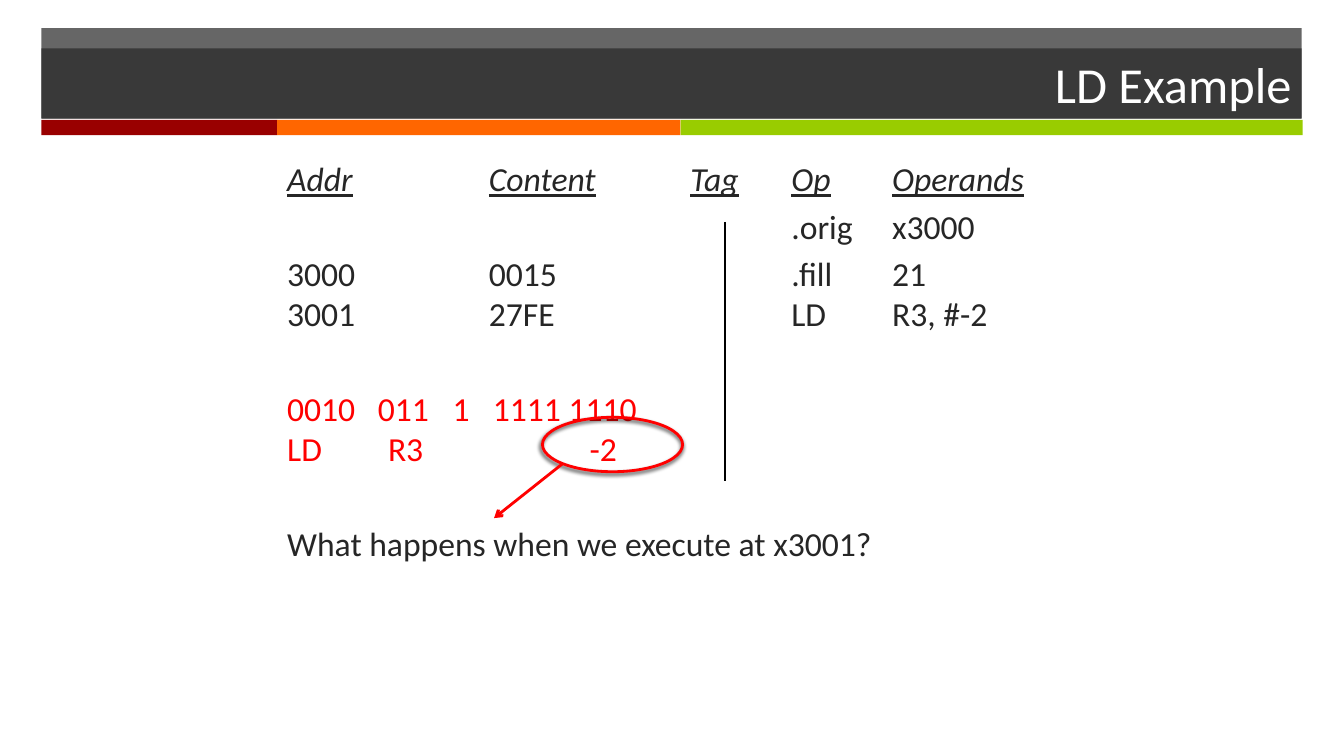
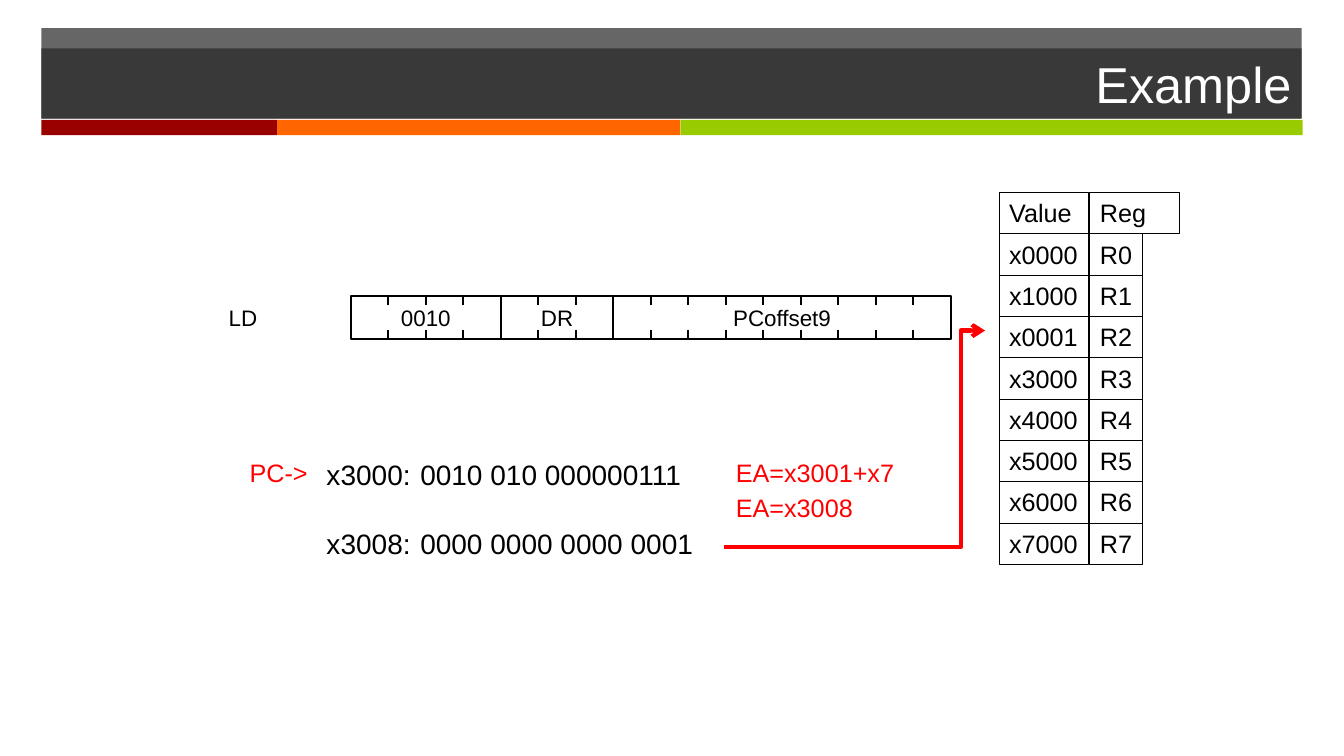
from lxml.etree import SubElement
from pptx import Presentation
from pptx.dml.color import RGBColor
from pptx.enum.shapes import MSO_CONNECTOR as Connector, MSO_SHAPE as Shape
from pptx.enum.text import MSO_ANCHOR as Anchor, MSO_AUTO_SIZE as AutoSize, PP_ALIGN as Align
from pptx.oxml.ns import qn
from pptx.util import Inches, Pt

DARK, WHITE, BLACK, RED = "262626", "FFFFFF", "000000", "FF0000"
STRIPES = (("990000", 2.34), ("FF6600", 4), ("99CC00", 6.17))
BAND_LEFT, BAND_WIDTH = 0.41, 12.5


def color(value):
    """Turn a hex string into a colour."""
    return RGBColor.from_string(value)


def inches(*lengths):
    """Turn numbers into lengths."""
    return [Inches(length) for length in lengths]


def paint(shape, fill, opacity=100):
    """Fill a shape, with an optional opacity in percent."""
    shape.fill.solid()
    shape.fill.fore_color.rgb = color(fill)
    if opacity < 100:
        tint = shape.fill._xPr.find(qn("a:solidFill"))[0]
        SubElement(tint, qn("a:alpha"), val=str(opacity * 1000))


def outline(item, value, width):
    """Set the line of a shape or connector."""
    item.line.color.rgb = color(value)
    item.line.width = Pt(width)


def add_shape(page, kind, box):
    """Add a plain shape with no fill, line or shadow."""
    shape = page.shapes.add_shape(kind, *inches(*box))
    shape.shadow.inherit = False
    shape.fill.background()
    shape.line.fill.background()
    return shape


def add_line(page, start, end, value, width, arrow=False, bend=None):
    """Add a straight line, or an elbow that turns at the given share."""
    kind = Connector.STRAIGHT if bend is None else Connector.ELBOW
    line = page.shapes.add_connector(kind, *inches(*start, *end))
    outline(line, value, width)
    properties = line._element.spPr
    if arrow:
        SubElement(properties.find(qn("a:ln")), qn("a:tailEnd"), type="arrow")
    if bend is not None:
        guides = properties.find(qn("a:prstGeom")).find(qn("a:avLst"))
        SubElement(guides, qn("a:gd"), name="adj1", fmla=f"val {round(bend * 100000)}")
    SubElement(properties, qn("a:effectLst"))


def style(para, size, value, face="Arial", align=Align.LEFT):
    """Set the font and alignment of a paragraph."""
    para.alignment = align
    para.font.size = Pt(size)
    para.font.name = face
    para.font.color.rgb = color(value)


def set_tabs(para, stops):
    """Give a paragraph left tab stops in inches."""
    tabs = SubElement(para._p.get_or_add_pPr(), qn("a:tabLst"))
    for stop in stops:
        SubElement(tabs, qn("a:tab"), pos=str(Inches(stop)), algn="l")


def add_text(page, box, lines, size, value, gap=0, stops=(), align=Align.LEFT):
    """Add a wrapped text box with a gap between its lines."""
    label = page.shapes.add_textbox(*inches(*box))
    frame = label.text_frame
    frame.word_wrap = True
    for index, line in enumerate(lines):
        para = frame.paragraphs[0] if index == 0 else frame.add_paragraph()
        para.text = line
        if stops:
            set_tabs(para, stops)
        if index:
            para.space_before = Pt(gap)
        style(para, size, value, align=align)
    return label


def add_page(deck, heading, face):
    """Add a page with the title band and colour stripes."""
    page = deck.slides.add_slide(deck.slide_layouts[5])
    band = add_shape(page, Shape.RECTANGLE, (BAND_LEFT, 0.28, BAND_WIDTH, 0.89))
    paint(band, DARK, 70)
    left = BAND_LEFT
    for fill, width in STRIPES:
        paint(add_shape(page, Shape.RECTANGLE, (left, 1.19, width, 0.15)), fill)
        left += width
    title = page.shapes.title
    page.shapes._spTree.append(title._element)
    title.left, title.top, title.width, title.height = inches(BAND_LEFT, 0.48, BAND_WIDTH, 0.7)
    paint(title, DARK, 70)
    frame = title.text_frame
    frame.text = heading
    frame.auto_size = AutoSize.NONE
    frame.vertical_anchor = Anchor.MIDDLE
    style(frame.paragraphs[0], 36, WHITE, face, Align.RIGHT)
    return page


def add_listing(page, box):
    """Add the assembly listing with its decoded instruction."""
    columns = (2, 4, 5, 6)
    rows = (
        ("Addr\tContent\tTag\tOp\tOperands", columns, 0, DARK),
        ("\t.orig\tx3000", (5, 6), 5, DARK),
        ("3000\t0015\t.fill\t21", (2, 5, 6), 5, DARK),
        ("3001\t27FE\tLD\tR3, #-2", (2, 5, 6), 0, DARK),
        ("0010\t011\t1\t1111 1110", (0.9, 1.64, 2.04), 39, RED),
        ("LD\tR3\t-2", (1, 3), 0, RED),
        ("What happens when we execute at x3001?", (), 39, DARK),
    )
    frame = page.shapes.add_textbox(*inches(*box)).text_frame
    frame.word_wrap = True
    for index, (line, stops, gap, value) in enumerate(rows):
        para = frame.add_paragraph() if index else frame.paragraphs[0]
        para.text = line
        set_tabs(para, stops)
        para.space_before = Pt(gap)
        style(para, 24, value, "Calibri")
    heading = frame.paragraphs[0].font
    heading.italic = heading.underline = True


def add_offset_mark(page, box):
    """Circle the offset and point to the question."""
    left, top, width, height = box
    ring = add_shape(page, Shape.OVAL, box)
    outline(ring, RED, 2)
    effects = ring._element.spPr.find(qn("a:effectLst"))
    shadow = SubElement(effects, qn("a:outerShdw"), blurRad=str(Pt(3)), dist=str(Pt(2)),
                        dir=str(110 * 60000), rotWithShape="0")
    shade = SubElement(shadow, qn("a:srgbClr"), val=BLACK)
    SubElement(shade, qn("a:alpha"), val="75000")
    add_line(page, (left + 0.2, top + 0.46), (left - 0.48, top + 1), RED, 2, arrow=True)


def add_instruction(page, box):
    """Add the bit fields of an instruction word."""
    left, top, width, height = box
    bit, tick = width / 16, 0.09
    bottom = top + height
    for name, bits in (("0010", 4), ("DR", 3), ("PCoffset9", 9)):
        field = add_shape(page, Shape.RECTANGLE, (left, top, bits * bit, height))
        outline(field, BLACK, 1.5)
        frame = field.text_frame
        frame.text = name
        frame.vertical_anchor = Anchor.MIDDLE
        style(frame.paragraphs[0], 16, BLACK, align=Align.CENTER)
        for index in range(1, bits):
            x = left + index * bit
            add_line(page, (x, top), (x, top + tick), BLACK, 1.5)
            add_line(page, (x, bottom - tick), (x, bottom), BLACK, 1.5)
        left += bits * bit


def add_registers(page, left, top):
    """Add the register values beside their names."""
    pitch = 0.41
    values = ("0000", "1000", "0001", "3000", "4000", "5000", "6000", "7000")
    rows = [("Value", "Reg", 0.89)]
    rows += [(f"x{value}", f"R{index}", 0.52) for index, value in enumerate(values)]
    for index, (value, name, width) in enumerate(rows):
        y = top + index * pitch
        for text, box in ((value, (left, y, 0.89, pitch)), (name, (left + 0.9, y, width, pitch))):
            cell = add_text(page, box, [text], 18, BLACK)
            cell.text_frame.margin_right = 0
            outline(cell, BLACK, 0.75)


def add_memory(page, left, top):
    """Add the memory words, the program counter and the address sum."""
    add_text(page, (left, top, 1.26, 0.4), ["PC->"], 18, RED, align=Align.RIGHT)
    words = ["x3000:\t0010 010 000000111", "x3008:\t0000 0000 0000 0001"]
    add_text(page, (left + 1.25, top, 4.43, 1.1), words, 20, BLACK, gap=25, stops=(0.93,))
    add_text(page, (left + 5.31, top, 2.24, 0.73), ["EA=x3001+x7", "EA=x3008"], 18, RED, gap=3)


def build_listing_page(deck):
    """Build the page with the load listing."""
    page = add_page(deck, "LD Example", "Calibri")
    add_listing(page, (2.75, 1.52, 9.25, 5.36))
    add_offset_mark(page, (5.38, 4.14, 1.39, 0.54))
    add_line(page, (7.19, 2.2), (7.19, 4.77), BLACK, 1.75)


def build_register_page(deck):
    """Build the page that loads a word into a register."""
    page = add_page(deck, "Example", "Arial")
    add_text(page, (2.17, 2.97, 0.8, 0.37), ["LD"], 16, BLACK)
    add_instruction(page, (3.48, 2.94, 5.95, 0.42))
    add_registers(page, 9.91, 1.91)
    add_memory(page, 1.89, 4.49)
    add_line(page, (7.18, 5.43), (9.77, 3.28), RED, 3, arrow=True, bend=0.907)


def main():
    """Build and save the deck."""
    deck = Presentation()
    deck.slide_width, deck.slide_height = inches(13.33, 7.5)
    build_listing_page(deck)
    build_register_page(deck)
    deck.save("out.pptx")


if __name__ == "__main__":
    main()
